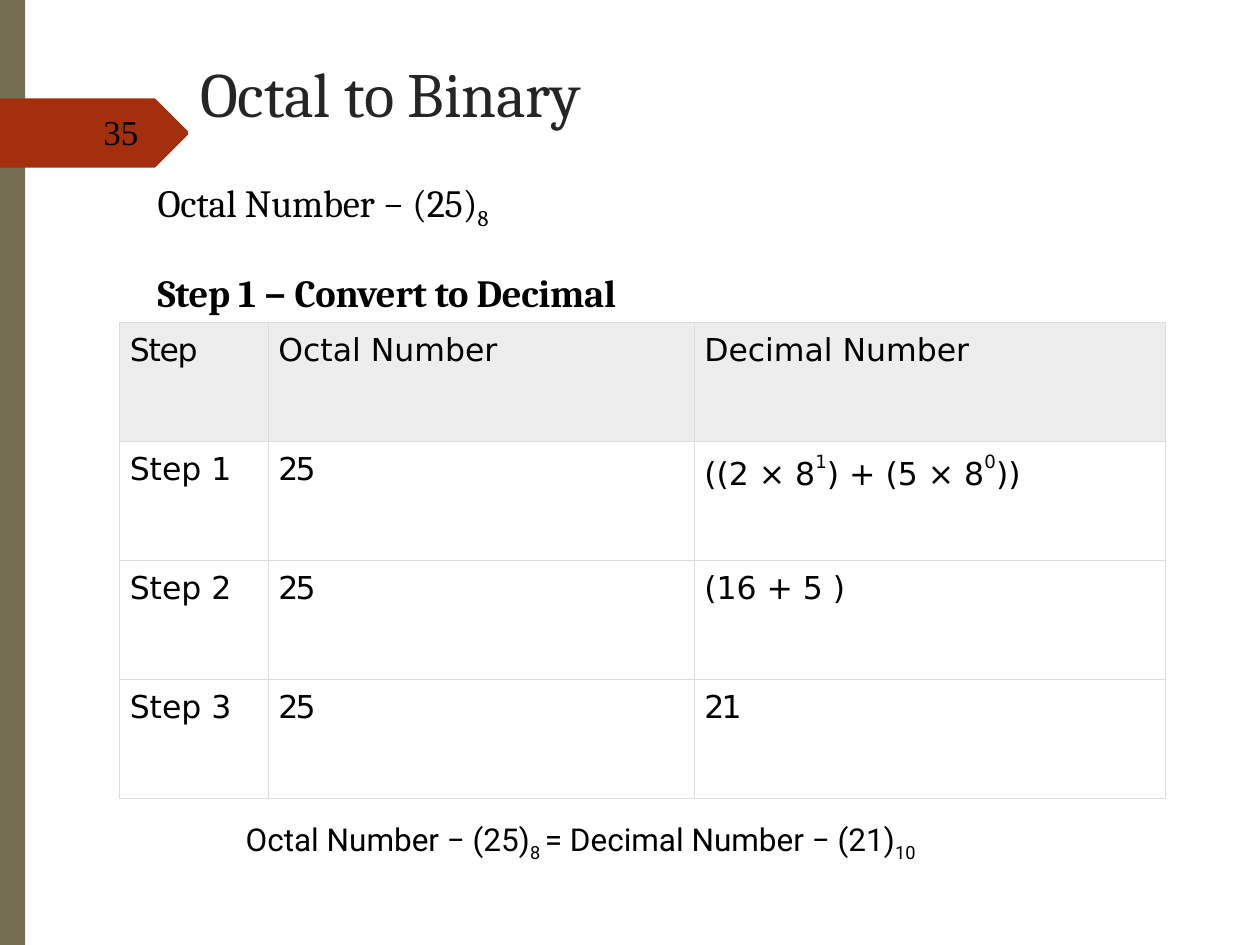
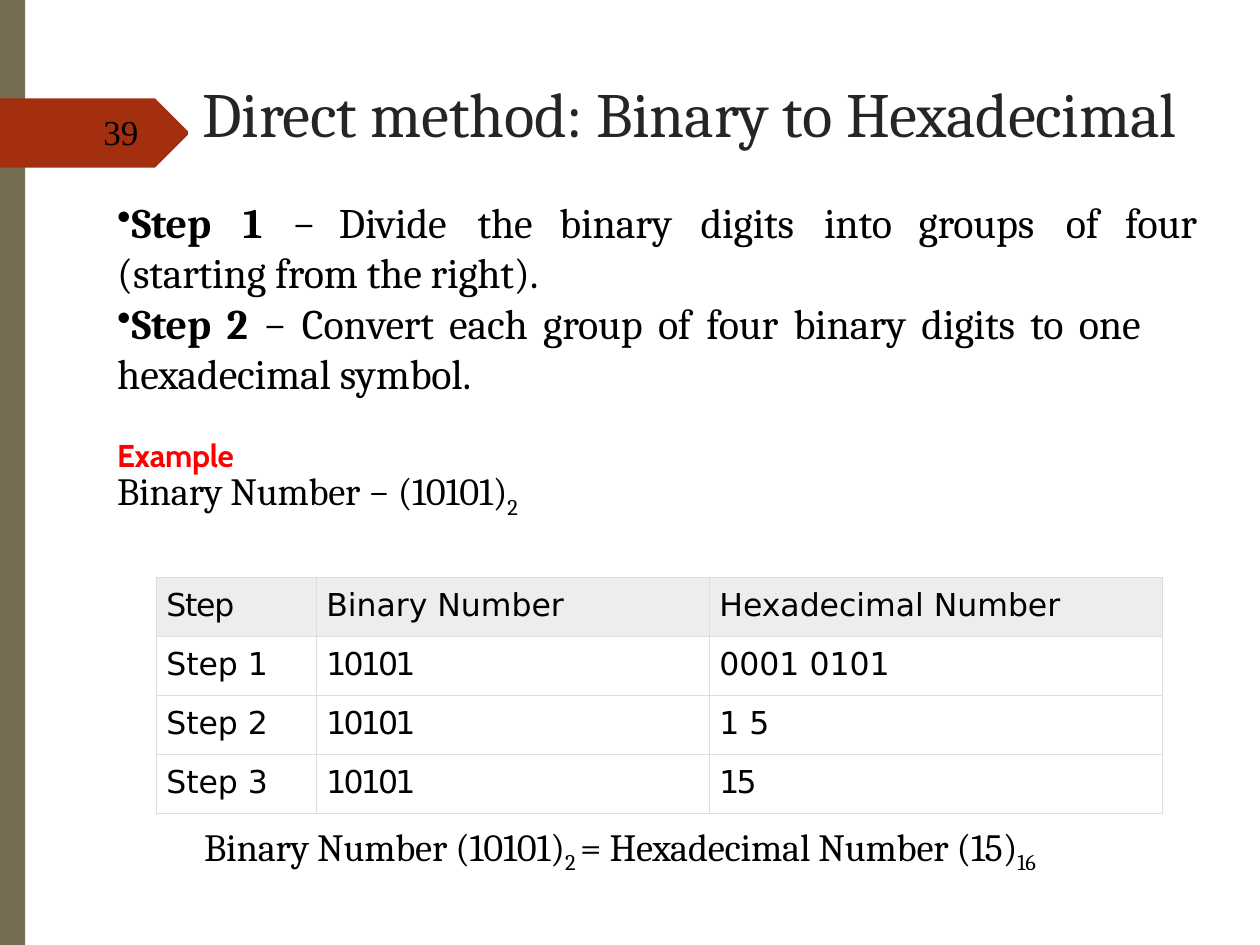
"""Build two slides on number system conversion."""
import dataclasses

import lxml.etree
import pptx
import pptx.dml.color
import pptx.enum.shapes
import pptx.enum.text
import pptx.oxml.ns
import pptx.util


@dataclasses.dataclass(frozen=True)
class Theme:
    """Colours, fonts and type sizes shared by the slides."""
    stripe: str = "766E53"
    pointer: str = "A42F0F"
    title: str = "252525"
    ink: str = "000000"
    accent: str = "FF0000"
    header: str = "EDEDED"
    border: str = "DDDDDD"
    serif: str = "Cambria"
    sans: str = "DejaVu Sans"
    title_size: int = 36
    step_size: int = 24
    text_size: int = 22
    number_size: int = 20
    small_size: int = 18


THEME = Theme()
COLUMNS, ROWS = 100, 75
SUBSCRIPT = {"baseline": -25}
SUPERSCRIPT = {"baseline": 53}
TIGHT = {"tracking": -1.6}
STEP_TABS = (1.04, 1.43, 1.8, 2.9, 3.55, 4.67, 5.65, 6.4, 7.57, 8.04)


def grid(units):
    """Turn grid units, a hundredth of the slide's width, into a length."""
    return pptx.util.Inches(units * 10 / COLUMNS)


def rgb(value):
    """Return a colour from its hexadecimal value."""
    return pptx.dml.color.RGBColor.from_string(value)


def add_xml(parent, tag, **attributes):
    """Append a DrawingML element with the given attributes."""
    element = lxml.etree.SubElement(parent, pptx.oxml.ns.qn(tag))
    for name, value in attributes.items():
        element.set(name, str(value))
    return element


def write_run(paragraph, text, *, size=THEME.text_size, font=THEME.serif,
              color=THEME.ink, bold=False, baseline=0, tracking=-0.1):
    """Add one formatted run; baseline is a percentage, tracking is in points."""
    run = paragraph.add_run()
    run.text = text
    run.font.size = pptx.util.Pt(size)
    run.font.name = font
    run.font.bold = bold
    run.font.color.rgb = rgb(color)
    properties = run.font._element
    properties.set("spc", str(round(tracking * 100)))
    if baseline:
        properties.set("baseline", str(baseline * 1000))


def write_paragraph(paragraph, pieces, *, indent=0.04, right=0, before=0, line=None,
                    bullet=None, tabs=(), justify=False, **style):
    """Write plain strings and (text, overrides) pairs into a paragraph."""
    if before:
        paragraph.space_before = pptx.util.Pt(before)
    if line:
        paragraph.line_spacing = pptx.util.Pt(line)
    paragraph.alignment = (pptx.enum.text.PP_ALIGN.JUSTIFY if justify
                           else pptx.enum.text.PP_ALIGN.LEFT)
    properties = paragraph._p.get_or_add_pPr()
    for name, value in (("marL", indent), ("marR", right), ("indent", 0)):
        properties.set(name, str(pptx.util.Inches(value)))
    if bullet:
        add_xml(properties, "a:buSzPct", val=96000)
        add_xml(properties, "a:buChar", char=bullet)
    if tabs:
        stops = add_xml(properties, "a:tabLst")
        for position in tabs:
            add_xml(stops, "a:tab", pos=pptx.util.Inches(position), algn="l")
    for piece in pieces:
        text, changes = (piece, {}) if isinstance(piece, str) else piece
        write_run(paragraph, text, **{**style, **changes})


def add_text(slide, box, paragraphs, **style):
    """Add a text box holding (pieces, format) paragraphs."""
    frame = slide.shapes.add_textbox(*map(grid, box)).text_frame
    frame.word_wrap = True
    frame.margin_left = frame.margin_right = frame.margin_bottom = 0
    frame.margin_top = pptx.util.Inches(0.01)
    for index, (pieces, layout) in enumerate(paragraphs):
        paragraph = frame.add_paragraph() if index else frame.paragraphs[0]
        write_paragraph(paragraph, pieces, **{**style, **layout})


def paint(shape, color):
    """Give a shape a plain fill without line or shadow."""
    shape.shadow.inherit = False
    shape.fill.solid()
    shape.fill.fore_color.rgb = rgb(color)
    shape.line.fill.background()


def add_slide(presentation, number, title, title_box):
    """Add a blank slide with its side stripe, page pointer and title."""
    slide = presentation.slides.add_slide(presentation.slide_layouts[6])
    stripe = slide.shapes.add_shape(pptx.enum.shapes.MSO_SHAPE.RECTANGLE,
                                    0, 0, grid(2), grid(ROWS))
    paint(stripe, THEME.stripe)
    top, bottom = 7.8, 13.3
    outline = [(0, top), (12.3, top), (14.9, 10.4), (14.9, 10.7),
               (12.3, bottom), (0, bottom)]
    points = [(grid(x), grid(y)) for x, y in outline]
    builder = slide.shapes.build_freeform(*points[0])
    builder.add_line_segments(points[1:], close=True)
    paint(builder.convert_to_shape(), THEME.pointer)
    add_text(slide, (8.1, 8.7, 3.1, 3.6), [([number], {})], indent=0.01,
             size=THEME.number_size, font="Times New Roman", tracking=0.1)
    add_text(slide, title_box, [([title], {})], indent=0.01,
             size=THEME.title_size, color=THEME.title)
    return slide


def style_cell(cell, is_header):
    """Set a cell's margins, borders and fill."""
    cell.margin_left = cell.margin_right = cell.margin_bottom = 0
    cell.margin_top = pptx.util.Inches(0.08)
    properties = cell._tc.get_or_add_tcPr()
    for side in "LRTB":
        line = add_xml(properties, f"a:ln{side}", w=pptx.util.Pt(0.75))
        add_xml(add_xml(line, "a:solidFill"), "a:srgbClr", val=THEME.border)
    if is_header:
        cell.fill.solid()
        cell.fill.fore_color.rgb = rgb(THEME.header)
    else:
        cell.fill.background()


def add_step_table(slide, left, top, widths, row_height, headings, source, results):
    """Add a table of numbered steps that turn the source into the results."""
    rows = [[[("Step", {"tracking": -0.7})], *([heading] for heading in headings)]]
    rows += [[[f"Step {number}"], [(source, TIGHT)], result]
             for number, result in enumerate(results, 1)]
    frame = slide.shapes.add_table(len(rows), len(widths), grid(left), grid(top),
                                   grid(sum(widths)), grid(row_height * len(rows)))
    table = frame.table
    table.first_row = table.horz_banding = False
    for column, width in zip(table.columns, widths):
        column.width = grid(width)
    for row_index, row in enumerate(rows):
        table.rows[row_index].height = grid(row_height)
        for column_index, pieces in enumerate(row):
            cell = table.cell(row_index, column_index)
            style_cell(cell, row_index == 0)
            write_paragraph(cell.text_frame.paragraphs[0], pieces, indent=0.08,
                            size=THEME.small_size, font=THEME.sans, tracking=0)


def add_octal_slide(presentation):
    """Show the octal number turned into a decimal one."""
    slide = add_slide(presentation, "35", "Octal to Binary", (15.8, 4.2, 31.9, 6.3))
    power_sum = ["((2 × 8", ("1", SUPERSCRIPT), ") + (5 × 8", ("0", SUPERSCRIPT), "))"]
    add_step_table(slide, 9.5, 25.6, (11.8, 33.8, 37.4), 9.45,
                   ("Octal Number", "Decimal Number"), "25",
                   (power_sum, ["(16 + 5 )"], [("21", TIGHT)]))
    add_text(slide, (12.2, 14.1, 38.8, 10.6), [
        (["Octal Number − (25)", ("8", SUBSCRIPT)], {}),
        (["Step 1 − Convert to Decimal"], {"before": 21.6, "bold": True}),
    ], indent=0.03)
    add_text(slide, (19.1, 65, 55.1, 3.3), [
        (["Octal Number − (25)", ("8 ", SUBSCRIPT), "= Decimal Number − (21)",
          ("10", SUBSCRIPT)], {}),
    ], size=THEME.small_size, font="Roboto", tracking=0)


def add_hexadecimal_slide(presentation):
    """Show the direct method from binary to hexadecimal."""
    slide = add_slide(presentation, "39", "Direct method: Binary to Hexadecimal",
                      (16, 5.8, 81.4, 6.3))
    add_step_table(slide, 12.4, 45.8, (12.7, 31.2, 36), 4.7,
                   ("Binary Number", "Hexadecimal Number"), "10101",
                   (["0001 0101"], ["1 5"], [("15", TIGHT)]))
    bold = {"bold": True}
    step = {"size": THEME.step_size, "bullet": "•"}
    add_text(slide, (8.9, 15.5, 86.8, 25.9), [
        ([("Step\t1\t", bold), "−\tDivide\tthe\tbinary\tdigits\tinto\tgroups\tof\tfour "
          "(starting from the right)."], {**step, "tabs": STEP_TABS}),
        ([("Step 2 ", bold), "− Convert each group of four binary digits to one "
          "hexadecimal symbol."], {**step, "justify": True, "right": 0.52}),
        (["Example"], {"before": 21.9, "line": 21.4, "size": THEME.small_size,
                       "font": "Cabin", "color": THEME.accent, "bold": True,
                       "tracking": -0.2}),
        (["Binary Number − (10101)", ("2", SUBSCRIPT)], {"line": 26.2}),
    ])
    add_text(slide, (15.8, 65.2, 74, 3.9), [
        (["Binary Number (10101)", ("2 ", SUBSCRIPT), "= Hexadecimal Number (15)",
          ("16", SUBSCRIPT)], {}),
    ])


def main():
    """Build and save the presentation."""
    presentation = pptx.Presentation()
    presentation.slide_width = grid(COLUMNS)
    presentation.slide_height = grid(ROWS)
    add_octal_slide(presentation)
    add_hexadecimal_slide(presentation)
    presentation.save("out.pptx")


if __name__ == "__main__":
    main()
